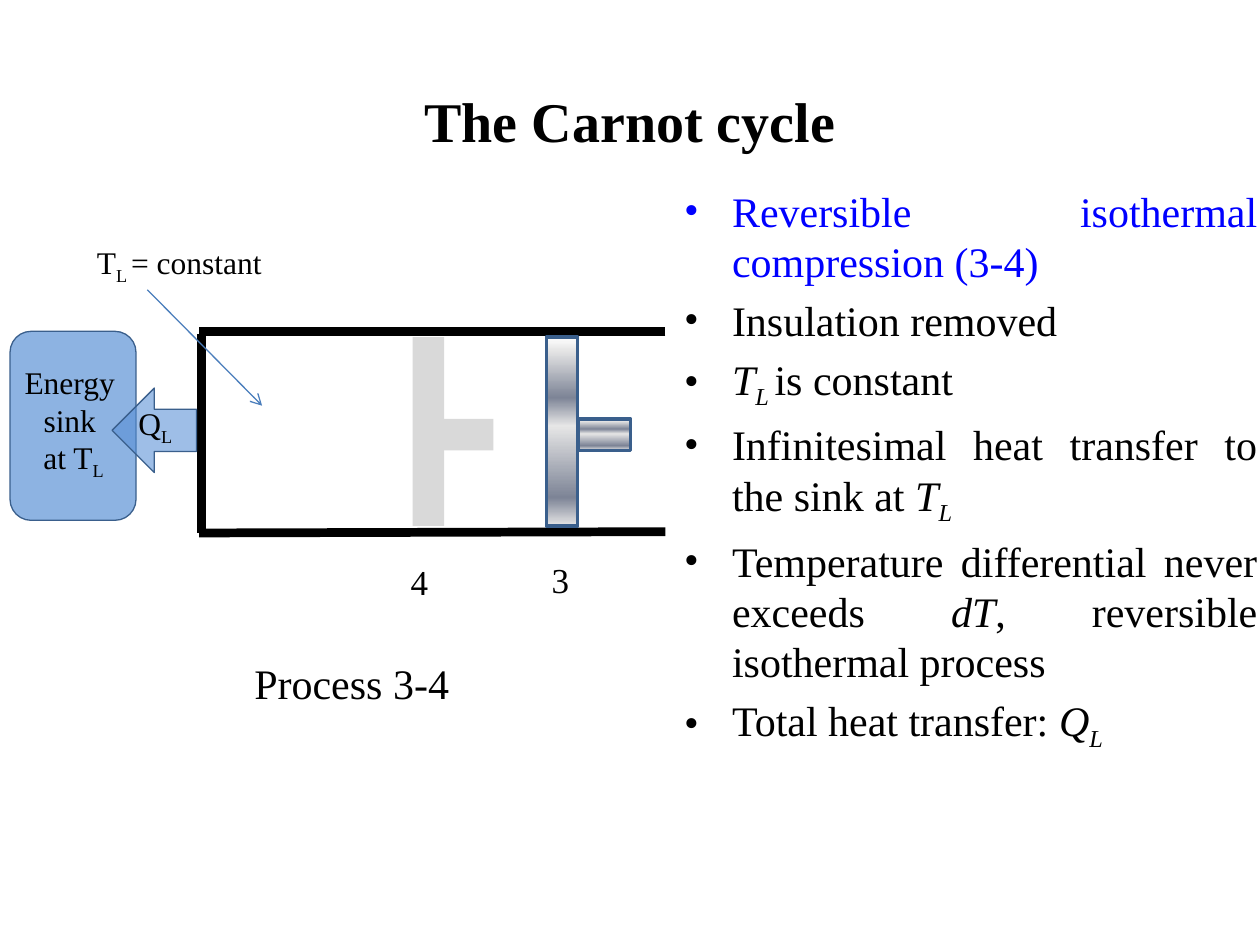
from lxml import etree
from pptx import Presentation
from pptx.dml.color import RGBColor
from pptx.enum.shapes import MSO_CONNECTOR, MSO_SHAPE as SHAPE
from pptx.enum.text import MSO_AUTO_SIZE as AUTO, MSO_ANCHOR, PP_ALIGN as ALIGN
from pptx.oxml.ns import qn
from pptx.util import Inches, Pt

FONT = "Times New Roman"
BLACK, BLUE, EDGE, GHOST, SINK = "000000", "0000FF", "3A5F8C", "D9D9D9", "558ED5"
METAL = [(0, "FFFFFF"), (7, "E6E6E6"), (32, "7D8496"),
         (47, "E6E6E6"), (85, "7D8496"), (100, "E6E6E6")]

TITLE = "The Carnot cycle"
BULLETS = [
    [("Reversible isothermal compression (3-4)", "")],
    [("Insulation removed", "")],
    [("T", "i"), ("L ", "is"), ("is constant", "")],
    [("Infinitesimal heat transfer to the sink at ", ""), ("T", "i"), ("L", "is")],
    [("Temperature differential never exceeds ", ""), ("dT", "i"),
     (", reversible isothermal process ", "")],
    [("Total heat transfer: ", ""), ("Q", "i"), ("L", "is")],
]
WALLS = [(5.28, 2.63, 1.58, 2.63), (5.28, 4.22, 1.58, 4.23), (1.6, 2.65, 1.6, 4.23)]
POINTER = (1.17, 2.3, 2.08, 3.22)
PISTON_PARTS = [
    ((3.71, 3.3, 1.5, 0.25), METAL),
    ((4.67, 3.24, 0.25, 0.42), METAL),
    ((2.65, 3.3, 1.5, 0.25), GHOST),
    ((3.58, 3.24, 0.25, 0.42), GHOST),
]
POSITION_LABELS = [
    ((4.28, 4.38, 0.42, 0.44), 20, [[("3", "")]]),
    ((3.16, 4.4, 0.42, 0.44), 20, [[("4", "")]]),
]
HEAT_LABELS = [
    ((0, 2.83, 1.17, 1.01), 18,
     [[("Energy ", "")], [("sink ", "")], [("at T", ""), ("L", "s")]]),
    ((1, 3.16, 0.58, 0.4), 18, [[("Q", ""), ("L", "s")]]),
    ((0.67, 1.88, 1.92, 0.4), 18, [[("T", ""), ("L ", "s"), ("= constant", "")]]),
    ((1.92, 5.17, 1.76, 0.5), 24, [[("Process 3-4", "")]]),
]


def rgb(color):
    return RGBColor.from_string(color)


def place(sp, box):
    sp.left, sp.top, sp.width, sp.height = map(Inches, box)


def add_runs(p, runs, size, color=BLACK, bold=False):
    for text, style in runs:
        r = p.add_run()
        r.text = text
        r.font.name, r.font.size, r.font.bold = FONT, Pt(size), bold
        r.font.italic = "i" in style
        r.font.color.rgb = rgb(color)
        if "s" in style:
            r.font._element.set("baseline", "-25000")


def add_paragraphs(tf, paragraphs):
    for i, runs in enumerate(paragraphs):
        yield (tf.add_paragraph() if i else tf.paragraphs[0]), runs


def add_label(box, size, paragraphs):
    tf = s.shapes.add_textbox(*map(Inches, box)).text_frame
    tf.word_wrap = not paragraphs[0][0][0].startswith("Process")
    tf.auto_size = AUTO.SHAPE_TO_FIT_TEXT
    for p, runs in add_paragraphs(tf, paragraphs):
        p.alignment = ALIGN.CENTER if len(paragraphs) > 1 else ALIGN.LEFT
        add_runs(p, runs, size)


def add_line(ends, color, width):
    line = s.shapes.add_connector(MSO_CONNECTOR.STRAIGHT, *map(Inches, ends))
    line.line.color.rgb, line.line.width = rgb(color), Pt(width)
    etree.SubElement(line._element.spPr, qn("a:effectLst"))
    return line


def add_part(kind, box, fill, rotation=0, alpha=None, edge=None):
    sp = s.shapes.add_shape(kind, *map(Inches, box))
    sp.rotation = rotation
    sp.shadow.inherit = False
    if isinstance(fill, list):
        sp.fill.gradient()
        sp.fill.gradient_angle = 0
        stops = sp._element.spPr.find(".//" + qn("a:gsLst"))
        for old in list(stops):
            stops.remove(old)
        for pos, color in fill:
            gs = etree.SubElement(stops, qn("a:gs"), pos=str(pos * 1000))
            etree.SubElement(gs, qn("a:srgbClr"), val=color)
    else:
        sp.fill.solid()
        sp.fill.fore_color.rgb = rgb(fill)
    if alpha:
        clr = sp._element.spPr.find(qn("a:solidFill")).find(qn("a:srgbClr"))
        etree.SubElement(clr, qn("a:alpha"), val=str(alpha * 1000))
    if edge:
        sp.line.color.rgb, sp.line.width = rgb(EDGE), Pt(edge)
    else:
        sp.line.fill.background()


prs = Presentation()
prs.slide_width, prs.slide_height = Inches(10), Inches(7.5)
s = prs.slides.add_slide(prs.slide_layouts[1])
title, body = s.placeholders

place(title, (0.5, 0.58, 9, 0.75))
title.text_frame.auto_size = AUTO.NONE
title.text_frame.vertical_anchor = MSO_ANCHOR.MIDDLE
title.text_frame.paragraphs[0].alignment = ALIGN.CENTER
add_runs(title.text_frame.paragraphs[0], [(TITLE, "")], 32, bold=True)

place(body, (5.33, 1.42, 4.75, 5.58))
body.text_frame.auto_size = AUTO.NONE
for i, (p, runs) in enumerate(add_paragraphs(body.text_frame, BULLETS)):
    p.alignment = ALIGN.JUSTIFY
    pPr = p._p.get_or_add_pPr()
    pPr.set("marL", str(Inches(0.38)))
    pPr.set("indent", str(-Inches(0.38)))
    etree.SubElement(pPr, qn("a:buFont"), typeface=FONT)
    etree.SubElement(pPr, qn("a:buChar"), char="•")
    if i == 0:
        p.space_before = Pt(0)
    add_runs(p, runs, 24, BLACK if i else BLUE)

for ends in WALLS:
    add_line(ends, BLACK, 5)
for box, fill in PISTON_PARTS:
    add_part(SHAPE.RECTANGLE, box, fill, 90, edge=2 if fill is METAL else None)
for label in POSITION_LABELS:
    add_label(*label)
pointer = add_line(POINTER, "4B7EBC", 0.75)
etree.SubElement(pointer.line._get_or_add_ln(), qn("a:tailEnd"), type="arrow")
add_part(SHAPE.ROUNDED_RECTANGLE, (0.08, 2.63, 1, 1.5), SINK, alpha=67, edge=0.75)
add_part(SHAPE.RIGHT_ARROW, (0.89, 3.08, 0.67, 0.67), SINK, 180, 57, 0.75)
for label in HEAT_LABELS:
    add_label(*label)

prs.save("out.pptx")
